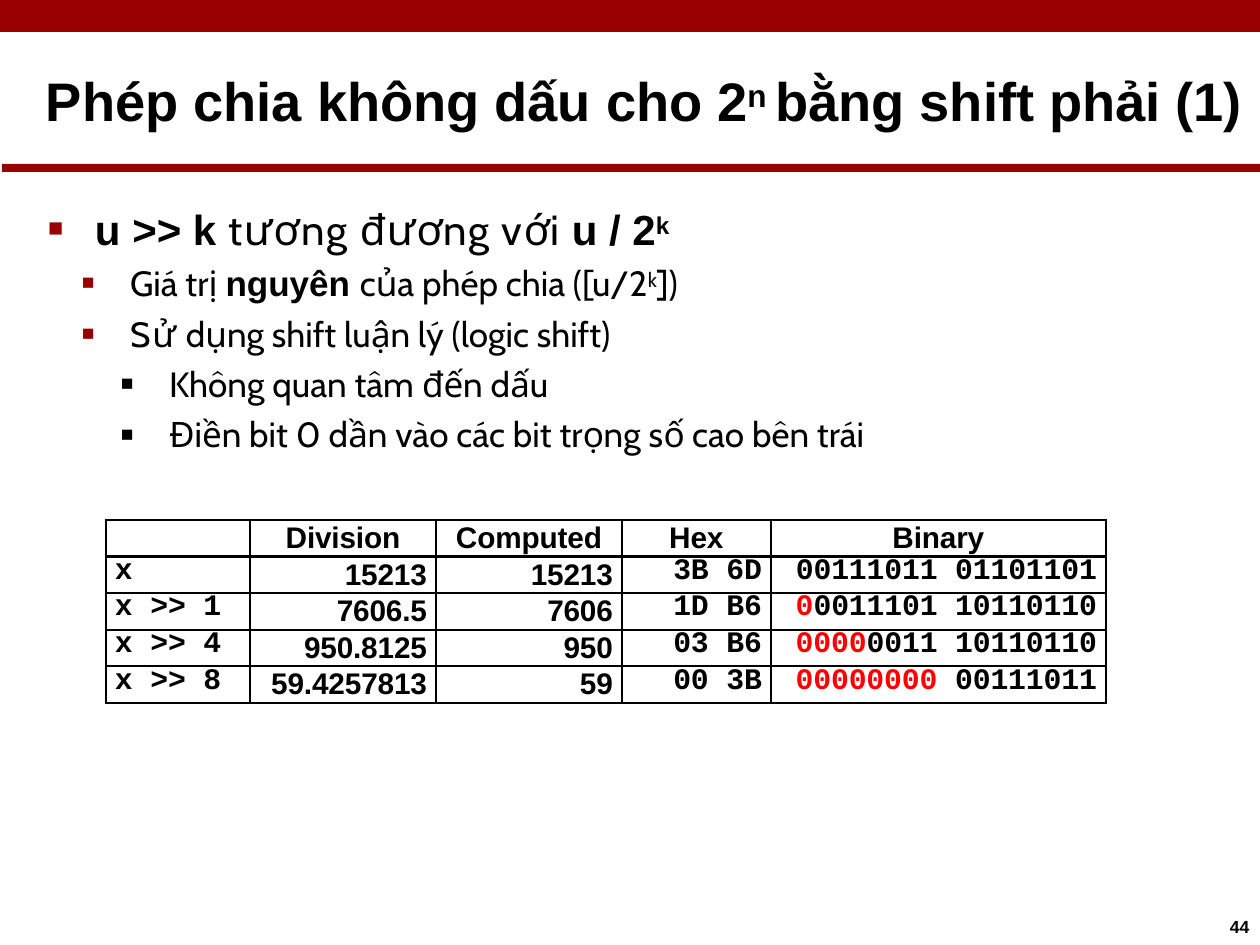
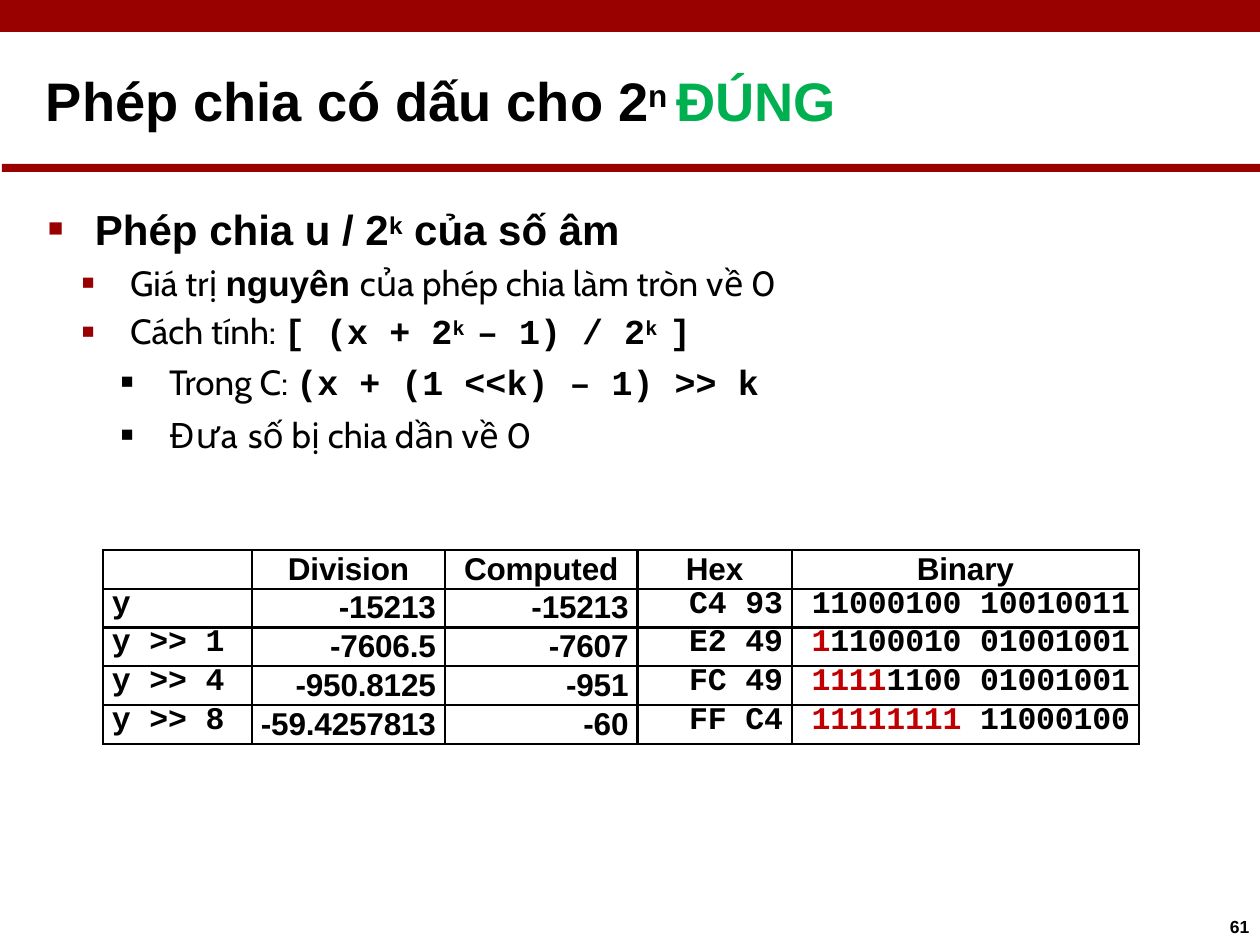
import pptx
import pptx.util
import pptx.dml.color
import pptx.enum.shapes
import pptx.enum.text
import pptx.oxml
import pptx.oxml.ns
from lxml import etree

SCALE = 914400 / 126
COLORS = {"band": "990000", "ink": "000000", "good": "00AF50",
          "red": "FF0000", "dark": "C00000"}
LOOKS = {"bold": ("Arial", True), "plain": ("Cabin", False),
         "code": ("Courier New", True)}
ALIGN = pptx.enum.text.PP_ALIGN
RAISE = 26000

# Per list level: text size, left margin px, hanging px, bullet colour
LEVELS = [(24, 53, 47, "band"), (20, 88, 48, "band"), (20, 127, 48, None)]

HEADS = ["", "Division", "Computed", "Hex", "Binary"]
SHARES = [144, 186, 186, 149, 335]
SIDES = [ALIGN.LEFT, ALIGN.RIGHT, ALIGN.RIGHT, ALIGN.RIGHT, ALIGN.RIGHT]
FACES = ["code", "bold", "bold", "code", "code"]
SHIFTS = [0, 1, 4, 8]
TIGHT = -0.1


def px(num):
    return pptx.util.Emu(round(num * SCALE))


def tint(name):
    return pptx.dml.color.RGBColor.from_string(COLORS[name])


def add_tag(parent, tag, **attrs):
    node = etree.SubElement(parent, pptx.oxml.ns.qn("a:" + tag))
    for key, val in attrs.items():
        node.set(key, str(val))
    return node


def write(par, parts, size):
    """Fill a paragraph from (text, look, gap, colour); '^' raises the text."""
    for text, look, *rest in parts:
        gap, color = rest + [0, "ink"][len(rest):]
        run = par.add_run()
        run.text = text
        run.font.name, run.font.bold = LOOKS[look.rstrip("^")]
        run.font.size = pptx.util.Pt(size)
        run.font.color.rgb = tint(color)
        props = run.font._element
        if gap:
            props.set("spc", str(round(gap * 100)))
        if look.endswith("^"):
            props.set("baseline", str(RAISE))


def place(shape, box):
    shape.left, shape.top, shape.width, shape.height = map(px, box)


def set_frame(shape, left=0, top=0):
    frame = shape.text_frame
    frame.word_wrap = True
    frame.auto_size = pptx.enum.text.MSO_AUTO_SIZE.NONE
    frame.vertical_anchor = pptx.enum.text.MSO_ANCHOR.TOP
    frame.margin_left, frame.margin_top = px(left), px(top)
    frame.margin_right = frame.margin_bottom = 0
    return frame


def add_band(slide, box):
    kind = pptx.enum.shapes.MSO_SHAPE.RECTANGLE
    band = slide.shapes.add_shape(kind, *map(px, box))
    band.shadow.inherit = False
    band.fill.solid()
    band.fill.fore_color.rgb = tint("band")
    band.line.fill.background()


def add_title(slide, box, parts):
    title = slide.shapes.title
    place(title, box)
    par = set_frame(title, left=22, top=9).paragraphs[0]
    par.alignment = ALIGN.LEFT
    write(par, parts, 31)


def add_list(slide, box, items):
    """List of (level, parts) with an optional space before in points."""
    body = slide.placeholders[1]
    place(body, box)
    frame = set_frame(body, top=11)
    for num, (level, parts, *space) in enumerate(items):
        par = frame.add_paragraph() if num else frame.paragraphs[0]
        size, left, hang, color = LEVELS[level]
        par.level = level
        before = space[0] if space else 4.8
        par.space_before = pptx.util.Pt(before if num else 0)
        props = par._p.get_or_add_pPr()
        props.set("marL", str(px(left)))
        props.set("indent", str(px(-hang)))
        if color:
            add_tag(add_tag(props, "buClr"), "srgbClr", val=COLORS[color])
        add_tag(props, "buSzPct", val=60000)
        add_tag(props, "buFont", typeface="Arial")
        add_tag(props, "buChar", char="■")
        write(par, parts, size)


def add_page(slide, box, num):
    page = slide.shapes.add_textbox(*map(px, box))
    write(set_frame(page, left=5).paragraphs[0], [(num, "bold")], 10)


def set_cell(cell, parts, size, side, face):
    cell.fill.background()
    cell.margin_left = px(0 if side == ALIGN.RIGHT else 9)
    cell.margin_right = px(9)
    cell.margin_top = cell.margin_bottom = 0
    props = cell._tc.get_or_add_tcPr()
    for num, edge in enumerate(["lnL", "lnR", "lnT", "lnB"]):
        line = add_tag(props, edge, w=pptx.util.Pt(1.5))
        add_tag(add_tag(line, "solidFill"), "srgbClr", val=COLORS["ink"])
        props.insert(num, line)
    par = cell.text_frame.paragraphs[0]
    par.alignment = side
    ratio = 1.07 if face == "code" else 1.17
    par.line_spacing = pptx.util.Pt(round(size * ratio, 1))
    write(par, parts, size)
    if not parts:
        add_tag(par._p, "endParaRPr", sz=size * 50)


def add_grid(slide, box, name, rows, size, mark):
    """Table of shifts; the digits shifted in take the mark colour."""
    count = len(rows) + 1
    frame = slide.shapes.add_table(count, len(HEADS), *map(px, box))
    grid = frame.table
    grid.first_row = grid.horz_banding = False
    for col, share in zip(grid.columns, SHARES):
        col.width = px(box[2] * share / sum(SHARES))
    for row in grid.rows:
        row.height = px(box[3] / count)
    for col, head in enumerate(HEADS):
        parts = [(head, "bold", TIGHT)] if head else []
        set_cell(grid.cell(0, col), parts, size, ALIGN.CENTER, "bold")
    for num, (shift, row) in enumerate(zip(SHIFTS, rows), 1):
        label = f"{name} >> {shift}" if shift else name
        for col, text in enumerate([label, *row]):
            face = FACES[col]
            parts = [(text, face, TIGHT)]
            if HEADS[col] == "Binary" and shift:
                parts = [(text[:shift], face, TIGHT, mark),
                         (text[shift:], face, TIGHT)]
            set_cell(grid.cell(num, col), parts, size, SIDES[col], face)


def add_slide(deck, title, page):
    slide = deck.slides.add_slide(deck.slide_layouts[1])
    add_band(slide, (0, 0, 1260, 32))
    add_band(slide, (2, 164, 1258, 8))
    add_title(slide, (24, 58, 1227, 82), title)
    add_page(slide, (1225, 916, 28, 24), page)
    return slide


def add_plain(deck):
    """Unsigned division."""
    slide = add_slide(deck, [
        ("Phép chia không dấu cho 2", "bold"), ("n ", "bold^"),
        ("bằng shift phải (1)", "bold")], "44")
    add_list(slide, (42, 192, 854, 266), [
        (0, [("u >> k ", "bold"), ("tương ", "plain", 0.9),
             ("đương ", "plain", 0.8), ("với ", "plain", 0.7),
             ("u / 2", "bold"), ("k", "bold^")]),
        (1, [("Giá trị ", "plain"), ("nguyên ", "bold"),
             ("của phép chia ([u/2", "plain"), ("k", "plain^"),
             ("])", "plain")]),
        (1, [("Sử", "plain", 1.1),
             (" dụng shift luận lý (logic shift)", "plain")]),
        (2, [("Không quan tâm đến dấu", "plain")]),
        (2, [("Điền bit 0 dần vào các bit trọng số cao bên trái",
              "plain")])])
    add_grid(slide, (106, 520, 1000, 183), "x", [
        ("15213", "15213", "3B 6D", "00111011 01101101"),
        ("7606.5", "7606", "1D B6", "00011101 10110110"),
        ("950.8125", "950", "03 B6", "00000011 10110110"),
        ("59.4257813", "59", "00 3B", "00000000 00111011")], 17, "red")


def add_signed(deck):
    """Signed division."""
    slide = add_slide(deck, [
        ("Phép chia có dấu cho 2", "bold"), ("n ", "bold^"),
        ("ĐÚNG", "bold", 0, "good")], "61")
    add_list(slide, (42, 192, 760, 266), [
        (0, [("Phép chia u / 2", "bold"), ("k", "bold^"),
             (" của số âm", "bold")]),
        (1, [("Giá trị ", "plain"), ("nguyên ", "bold"),
             ("của phép chia làm tròn về 0", "plain")]),
        (1, [("Cách tính: ", "plain"), ("[ (x + 2", "code"),
             ("k ", "code^"), ("– 1) / 2", "code"), ("k ", "code^"),
             ("]", "code")], 3.5),
        (2, [("Trong C: ", "plain"), ("(x + (1 <<k) – 1) >> k", "code")]),
        (2, [("Đưa ", "plain", 0.7), ("số bị chia dần về 0", "plain")],
         6.2)])
    add_grid(slide, (103, 550, 1036, 194), "y", [
        ("-15213", "-15213", "C4 93", "11000100 10010011"),
        ("-7606.5", "-7607", "E2 49", "11100010 01001001"),
        ("-950.8125", "-951", "FC 49", "11111100 01001001"),
        ("-59.4257813", "-60", "FF C4", "11111111 11000100")], 18, "dark")


def main():
    deck = pptx.Presentation()
    deck.slide_width, deck.slide_height = px(1260), px(945)
    add_plain(deck)
    add_signed(deck)
    deck.save("out.pptx")


if __name__ == "__main__":
    main()
